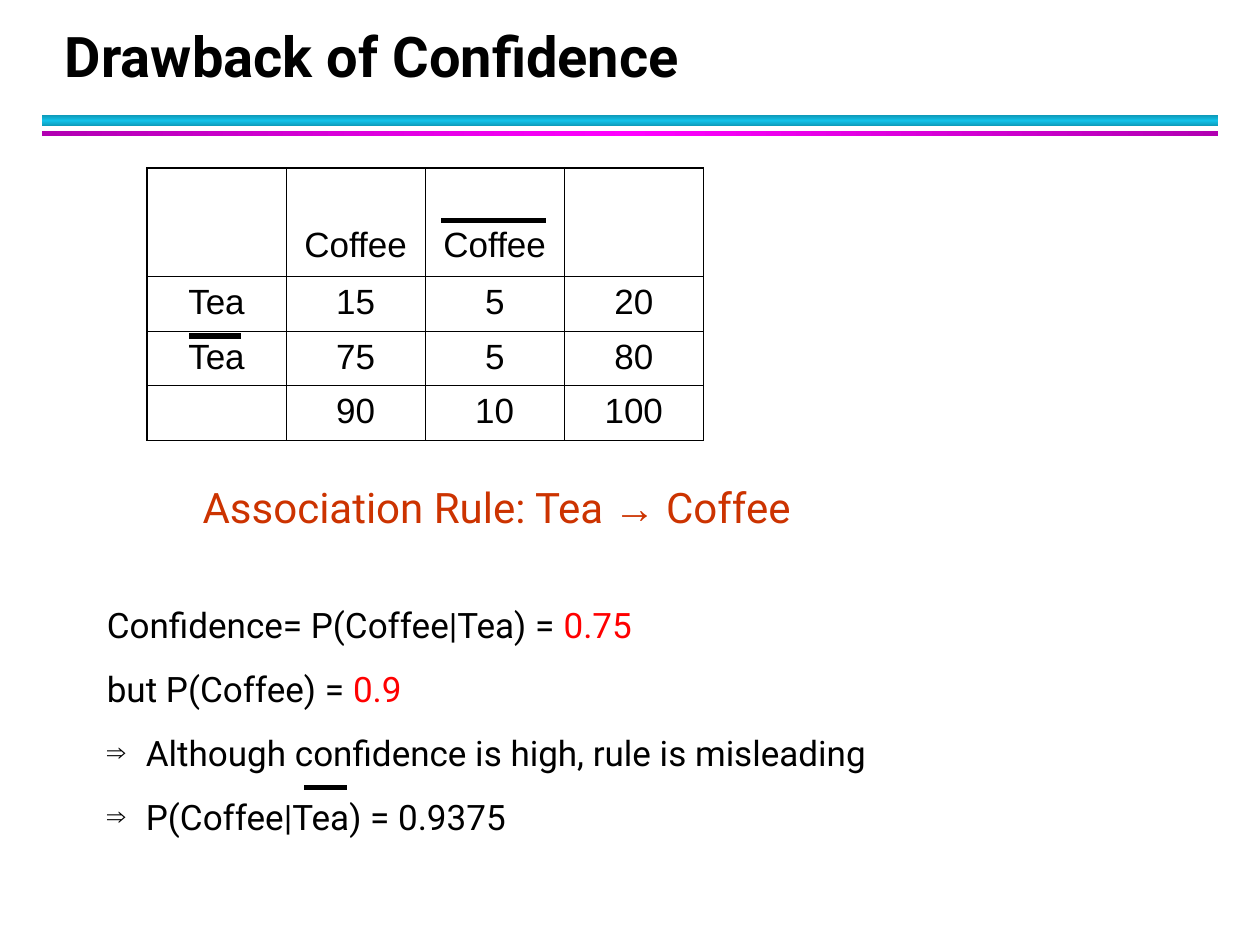
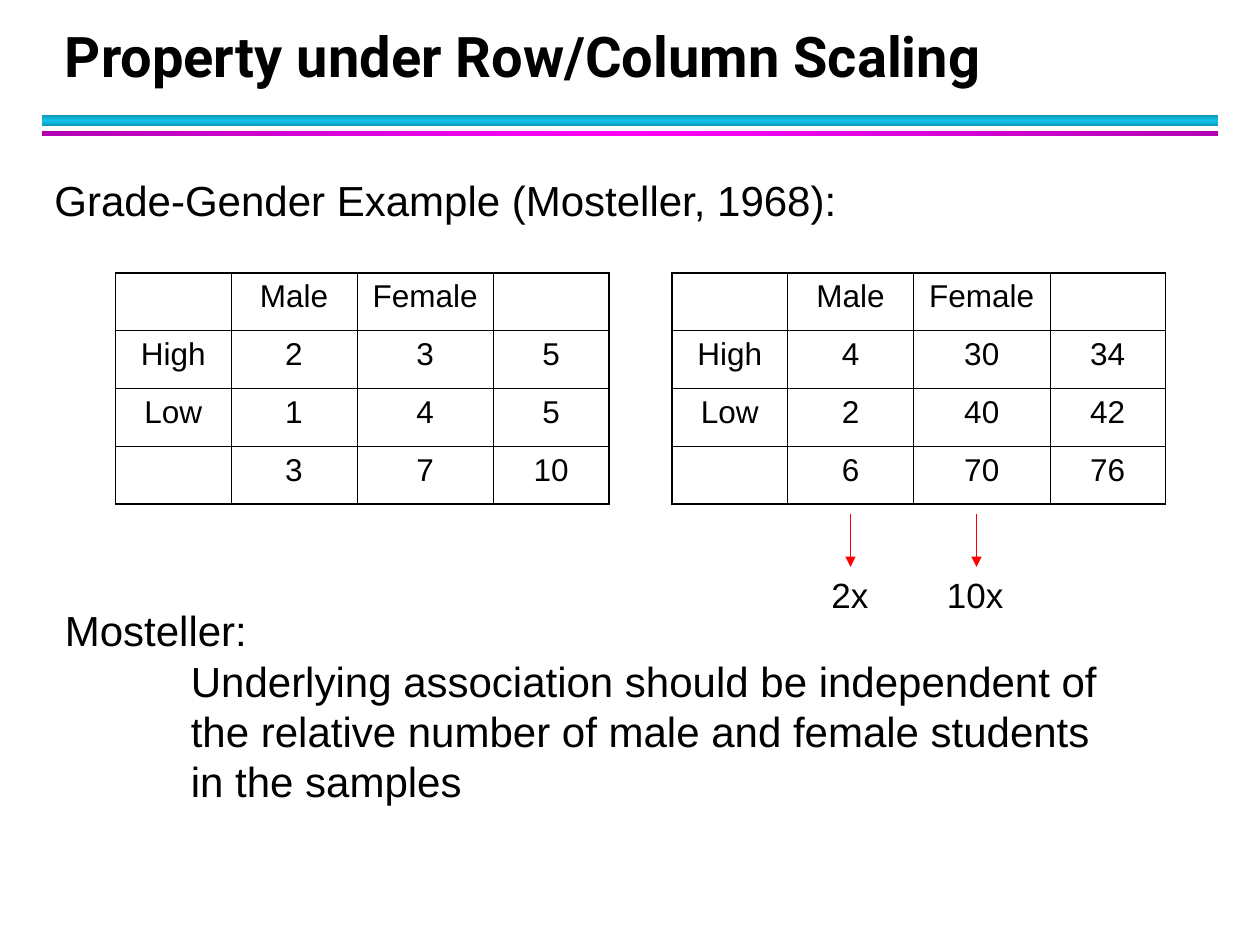
import copy

import pptx
import pptx.dml.color
import pptx.enum.shapes
import pptx.enum.text
import pptx.oxml
import pptx.oxml.ns
import pptx.util

RGB = pptx.dml.color.RGBColor
BLACK = RGB(0x00, 0x00, 0x00)
RED = RGB(0xFF, 0x00, 0x00)
RUST = RGB(0xCC, 0x33, 0x00)
CYAN_EDGE, CYAN_MIDDLE = RGB(0x0E, 0x9B, 0xBA), RGB(0x12, 0xC2, 0xE9)
MAGENTA_EDGE, MAGENTA_MIDDLE = RGB(0xB2, 0x00, 0xB2), RGB(0xFF, 0x00, 0xFF)

HEADING_FONT = "Roboto"
BODY_FONT = "Arial"
LINE_HEIGHT = 1.2
THICK_BORDER, THIN_BORDER = 1.08, 0.45
COLUMNS, ROWS = 120, 90  # one grid step is a twelfth of an inch
NAMESPACE = 'xmlns:a="http://schemas.openxmlformats.org/drawingml/2006/main"'


def grid(*steps):
    return [pptx.util.Emu(round(step * pptx.util.Inches(1) / 12)) for step in steps]


def element(markup):
    """Make a drawing element from its tag, attributes and optional inner XML."""
    head, _, inner = markup.partition("|")
    tag = head.split()[0]
    return pptx.oxml.parse_xml(f"<a:{head} {NAMESPACE}>{inner}</a:{tag}>")


def add_run(paragraph, text, size, font=BODY_FONT, color=BLACK, bold=False):
    run = paragraph.add_run()
    run.text = text
    run.font.size = pptx.util.Pt(size)
    run.font.name = font
    run.font.color.rgb = color
    run.font.bold = bold


def add_text_frame(slide, left, top, width, height):
    frame = slide.shapes.add_textbox(*grid(left, top, width, height)).text_frame
    frame.word_wrap = True
    return frame


def add_paragraph(frame, size, runs, before=0, indent=0, bullet=None, spacing=None):
    """Add runs of (text, font, color); indent is in inches and hangs a bullet."""
    paragraph = frame.paragraphs[0]
    if paragraph.runs:
        paragraph = frame.add_paragraph()
    paragraph.space_before = pptx.util.Pt(before)
    paragraph.line_spacing = pptx.util.Pt(spacing or size * LINE_HEIGHT)
    properties = paragraph._p.get_or_add_pPr()
    margin = pptx.util.Inches(indent)
    properties.set("marL", str(margin))
    properties.set("indent", str(-margin if bullet else 0))
    if bullet:
        properties.append(element('buClr|<a:srgbClr val="000000"/>'))
        properties.append(element('buSzPct val="75000"'))
        properties.append(element(f'buFont typeface="{BODY_FONT}"'))
        properties.append(element(f'buChar char="{bullet}"'))
    for text, font, color in runs:
        add_run(paragraph, text, size, font, color)
    return paragraph


def add_body_text(slide, left, top, width, height, text, size):
    frame = add_text_frame(slide, left, top, width, height)
    add_paragraph(frame, size, [(text, BODY_FONT, BLACK)])
    return frame


def add_band(slide, top, height, edge, middle, angle):
    """Draw a bar whose colour runs from edge to middle and back."""
    shape = slide.shapes.add_shape(
        pptx.enum.shapes.MSO_SHAPE.RECTANGLE, *grid(4, top, COLUMNS - 8, height))
    shape.shadow.inherit = False
    shape.line.fill.background()
    shape.fill.gradient()
    shape.fill.gradient_angle = angle
    for stop in shape.fill.gradient_stops:
        stop.color.rgb = edge
    stops = shape._element.spPr.find(".//" + pptx.oxml.ns.qn("a:gsLst"))
    center = copy.deepcopy(stops[0])
    center.set("pos", "50000")
    stops.insert(1, center)
    shape.fill.gradient_stops[1].color.rgb = middle


def add_titled_slide(presentation, title):
    slide = presentation.slides.add_slide(presentation.slide_layouts[6])
    add_band(slide, 11, 1, CYAN_EDGE, CYAN_MIDDLE, 90)
    add_band(slide, 12.5, 0.5, MAGENTA_EDGE, MAGENTA_MIDDLE, 0)
    frame = add_text_frame(slide, 5, 2, 108.75, 7)
    frame.vertical_anchor = pptx.enum.text.MSO_ANCHOR.BOTTOM
    paragraph = add_paragraph(frame, 32, [(title, HEADING_FONT, BLACK)], spacing=36)
    paragraph.runs[0].font.bold = True
    return slide


def add_line(slide, start, end, color=BLACK, width=3, arrow=False):
    connector = slide.shapes.add_connector(
        pptx.enum.shapes.MSO_CONNECTOR.STRAIGHT, *grid(*start, *end))
    connector.line.color.rgb = color
    connector.line.width = pptx.util.Pt(width)
    if arrow:
        connector.line._get_or_add_ln().append(element('tailEnd type="triangle"'))
    connector._element.spPr.append(element("effectLst"))


def set_borders(cell, outer_sides):
    properties = cell._tc.get_or_add_tcPr()
    for position, side in enumerate("LRTB"):
        points = THICK_BORDER if side in outer_sides else THIN_BORDER
        properties.insert(position, element(
            f'ln{side} w="{pptx.util.Pt(points)}"|'
            '<a:solidFill><a:srgbClr val="000000"/></a:solidFill>'))


def add_count_table(slide, left, top, widths, heights, values, size):
    shape = slide.shapes.add_table(
        len(heights), len(widths), *grid(left, top, sum(widths), sum(heights)))
    table = shape.table
    table.first_row = table.horz_banding = False
    for column, width in zip(table.columns, grid(*widths)):
        column.width = width
    for row, height in zip(table.rows, grid(*heights)):
        row.height = height
    last_row, last_column = len(heights) - 1, len(widths) - 1
    for row, texts in enumerate(values):
        for column, text in enumerate(texts):
            cell = table.cell(row, column)
            cell.fill.background()
            edges = {"L": column == 0, "R": column == last_column,
                     "T": row == 0, "B": row == last_row}
            set_borders(cell, [side for side, outer in edges.items() if outer])
            if text:
                paragraph = cell.text_frame.paragraphs[0]
                paragraph.alignment = pptx.enum.text.PP_ALIGN.CENTER
                add_run(paragraph, text, size)
    return table


def build_confidence_slide(presentation):
    slide = add_titled_slide(presentation, "Drawback of Confidence")
    table = add_count_table(
        slide, 14, 16, [13.25] * 4, [10.33] + [5.17] * 3,
        [["", "Coffee", "Coffee", ""],
         ["Tea", "15", "5", "20"],
         ["Tea", "75", "5", "80"],
         ["", "90", "10", "100"]], 20)
    for column in (1, 2):
        header = table.cell(0, column)
        header.vertical_anchor = pptx.enum.text.MSO_ANCHOR.BOTTOM
        header.margin_bottom = pptx.util.Inches(0.09)
    add_line(slide, (42, 21), (52, 21))
    add_line(slide, (18, 32), (23, 32))

    frame = add_text_frame(slide, 9, 45.25, 97, 35)
    add_paragraph(frame, 24, [("Association Rule: Tea ", HEADING_FONT, RUST),
                              ("→", BODY_FONT, RUST),
                              (" Coffee", HEADING_FONT, RUST)], indent=0.76)
    findings = [("Confidence= P(Coffee|Tea) = ", "0.75", 41.3),
                ("but P(Coffee) = ", "0.9", 12.5)]
    for label, value, before in findings:
        add_paragraph(frame, 20, [(label, HEADING_FONT, BLACK),
                                  (value, HEADING_FONT, RED)], before)
    for conclusion in ("Although confidence is high, rule is misleading",
                       "P(Coffee|Tea) = 0.9375"):
        add_paragraph(frame, 20, [(conclusion, HEADING_FONT, BLACK)], 12.5,
                      indent=0.31, bullet="⇒")
    add_line(slide, (29, 75), (33, 75))


def build_scaling_slide(presentation):
    slide = add_titled_slide(presentation, "Property under Row/Column Scaling")
    header = ["", "Male", "Female", ""]
    samples = [
        (11, [["High", "2", "3", "5"], ["Low", "1", "4", "5"], ["", "3", "7", "10"]]),
        (64, [["High", "4", "30", "34"], ["Low", "2", "40", "42"],
              ["", "6", "70", "76"]]),
    ]
    for left, counts in samples:
        add_count_table(slide, left, 26, [11, 12, 13, 11], [5.5] * 4,
                        [header] + counts, 18)
    add_body_text(slide, 4, 16, 101, 6, "Grade-Gender Example (Mosteller, 1968):", 24)
    frame = add_body_text(slide, 5, 57, 102, 20.4, "Mosteller:", 24)
    add_paragraph(frame, 24, [(
        "Underlying association should be independent of the relative number "
        "of male and female students in the samples", BODY_FONT, BLACK)], indent=1)
    for arrow_column, label_column, factor in ((81, 78, "2x"), (93, 89, "10x")):
        add_line(slide, (arrow_column, 49), (arrow_column, 54), RED, 1, arrow=True)
        add_body_text(slide, label_column, 54, 8, 5.25, factor, 20)


def main():
    presentation = pptx.Presentation()
    presentation.slide_width, presentation.slide_height = grid(COLUMNS, ROWS)
    build_confidence_slide(presentation)
    build_scaling_slide(presentation)
    presentation.save("out.pptx")


if __name__ == "__main__":
    main()
